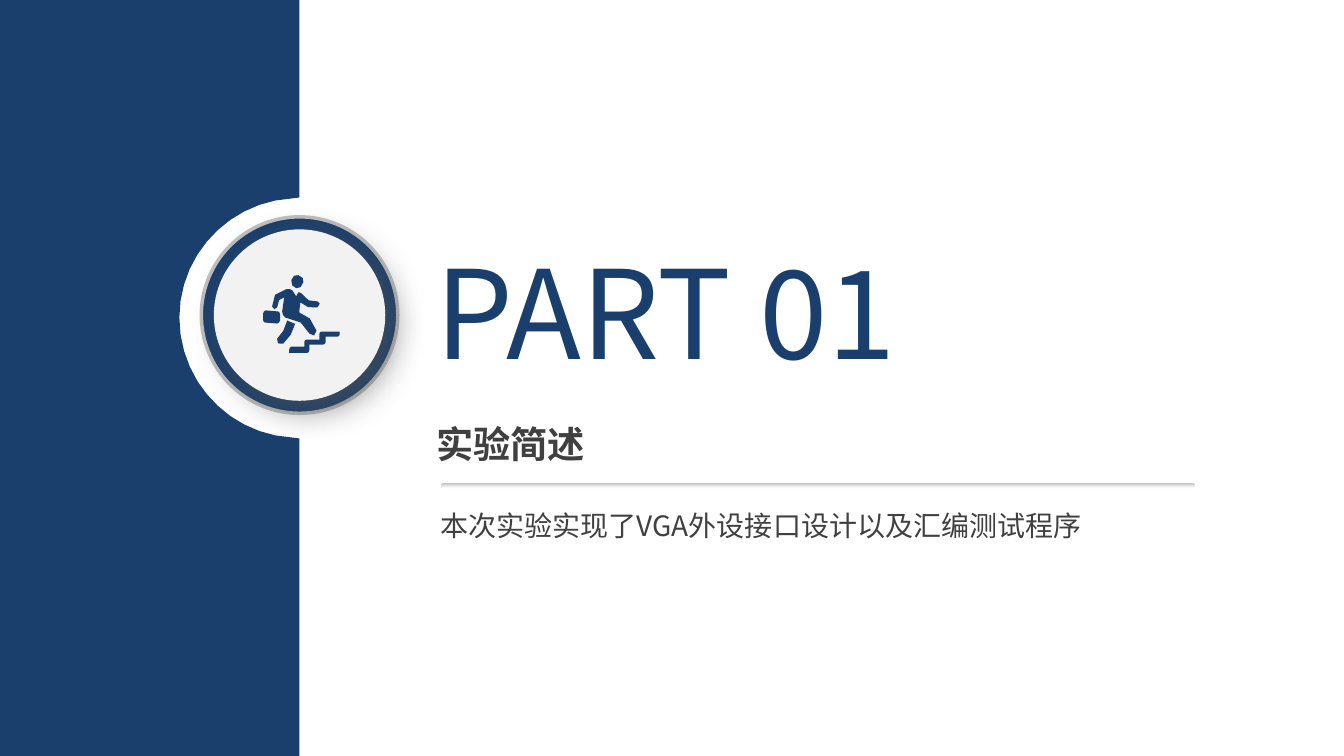
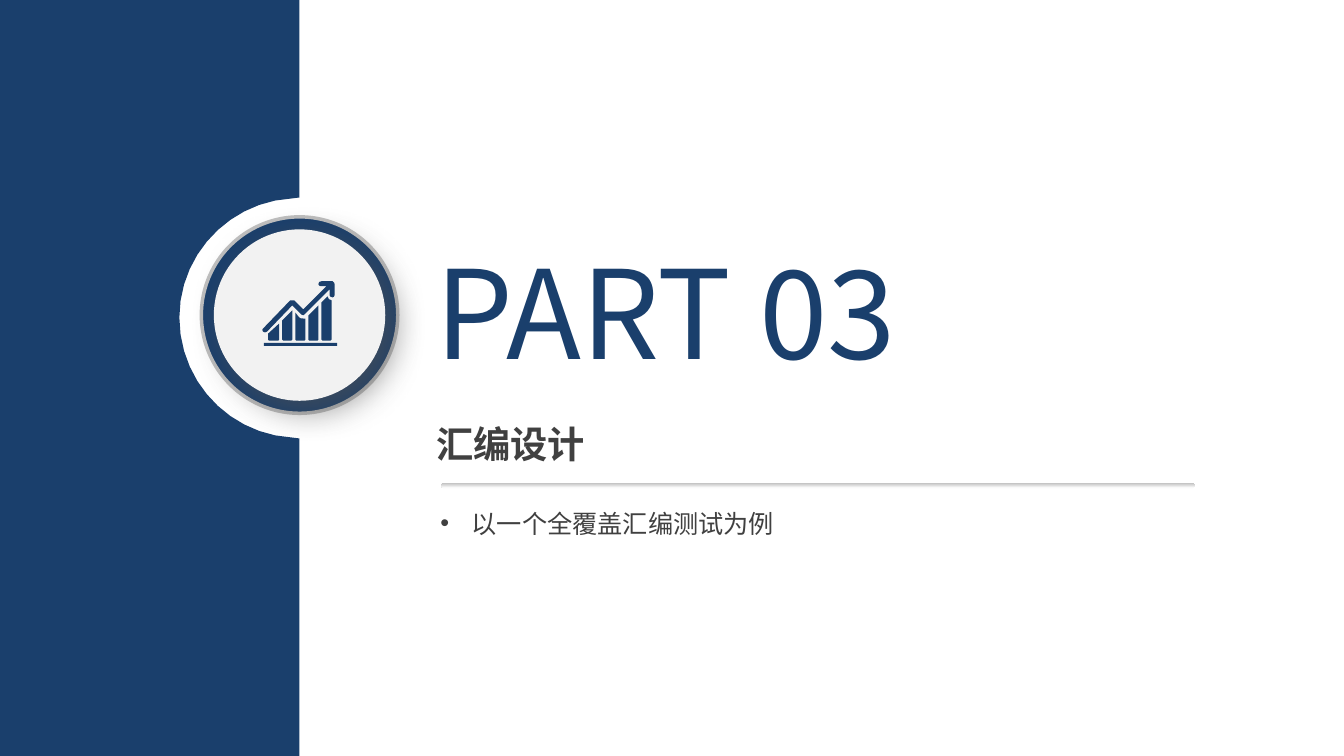
from lxml import etree
from pptx import Presentation
from pptx.dml.color import RGBColor
from pptx.enum.shapes import MSO_SHAPE as Shape
from pptx.enum.text import MSO_ANCHOR, MSO_AUTO_SIZE, PP_ALIGN
from pptx.oxml import parse_xml
from pptx.oxml.ns import nsdecls, qn
from pptx.util import Cm, Pt

NAVY = RGBColor(0x1A, 0x3F, 0x6C)
DARK = RGBColor(0x40, 0x40, 0x40)
SILVER = RGBColor(0xBF, 0xBF, 0xBF)
PALE = RGBColor(0xF2, 0xF2, 0xF2)
WHITE = RGBColor(0xFF, 0xFF, 0xFF)
FONT = "Noto Sans CJK SC"

# Outlines use a grid of 0.0254 cm. A contour starts at its first point;
# pairs are straight segments, sixes are cubic curves.
GRID = 0.0254
BAND_STEPS, ICON_STEPS = 10, 2

BAND = [[
    (0, 0), (297, 0), (297, 196), (273, 199),
    (219, 210, 178, 258, 178, 315), (178, 373, 219, 421, 273, 432),
    (297, 435), (297, 750), (0, 750),
]]

STAIRS = [[
    (289, 344), (302, 344), (302, 339), (302, 338, 303, 337, 304, 337),
    (317, 337), (317, 331), (317, 330, 318, 329, 319, 329), (337, 329),
    (337, 332), (337, 333, 336, 334, 335, 334), (323, 334), (323, 340),
    (323, 341, 321, 342, 320, 342), (307, 342), (307, 347),
    (307, 349, 306, 350, 305, 350), (287, 350), (287, 347),
    (287, 345, 288, 344, 289, 344),
]]
CLIMBER = [
    # Briefcase
    [(263, 320), (275, 321), (276, 321, 277, 320, 278, 318), (278, 312),
     (278, 311, 277, 309, 276, 309), (264, 308),
     (263, 308, 261, 309, 261, 311), (261, 317),
     (261, 319, 262, 320, 263, 320)],
    # Rear leg
    [(275, 336), (281, 329, 282, 328, 285, 318),
     (287, 319, 290, 320, 292, 321), (293, 321),
     (289, 332, 289, 333, 281, 341), (278, 344, 272, 339, 275, 336)],
    # Head
    [(296, 273), (300, 274, 302, 277, 301, 280),
     (300, 284, 297, 287, 294, 286), (290, 286, 289, 281, 289, 278),
     (290, 274, 293, 272, 296, 273)],
    # Body, arms and front leg
    [(296, 290), (296, 290, 298, 290, 299, 291),
     (307, 299, 305, 299, 315, 299), (318, 298, 318, 304, 315, 305),
     (306, 305, 305, 306, 298, 300), (297, 309), (297, 310),
     (307, 315, 309, 315, 314, 328), (315, 333, 309, 335, 307, 331),
     (300, 318, 299, 320, 283, 315), (281, 313, 280, 312, 280, 309),
     (282, 295), (276, 297, 277, 297, 275, 305),
     (275, 308, 269, 307, 270, 304), (271, 292, 272, 291, 284, 287),
     (286, 286, 289, 287, 290, 288), (294, 294)],
]

TREND = [[
    (265, 329), (290, 303), (299, 312), (300, 313, 302, 313, 302, 312),
    (327, 287), (327, 293), (327, 294, 329, 295, 330, 295),
    (331, 295, 332, 294, 332, 293), (332, 282),
    (332, 281, 332, 280, 331, 280), (330, 279), (319, 279),
    (317, 279, 316, 280, 316, 282), (316, 283, 317, 284, 319, 284),
    (324, 284), (301, 307), (292, 298), (291, 298, 289, 298, 288, 298),
    (261, 326), (260, 326, 260, 328, 261, 329),
    (262, 330, 264, 330, 265, 329),
]]
# Axis under the bars, in cm: left, top, width, height
AXIS_BOX = (6.65, 8.64, 1.85, 0.08)

# Upper edge of each bar, from left to right
BAR_TOPS = [
    [(266, 331), (277, 321)],
    [(280, 318), (290, 308)],
    [(293, 310), (297, 315), (298, 316, 299, 316, 301, 316), (303, 316)],
    [(306, 313), (316, 303)],
    [(319, 300), (325, 294), (325, 296, 327, 298, 329, 298)],
]


def bar(top):
    left, right = top[0][0], top[-1][-2]
    return [top + [(right, 337), (right - 1, 338), (left + 1, 338), (left, 337)]]


SECTIONS = [
    {"part": "PART 01", "heading": "实验简述",
     "summary": "本次实验实现了VGA外设接口设计以及汇编测试程序",
     "size": 20, "bullet": False,
     "outlines": [STAIRS, CLIMBER], "axis": None},
    {"part": "PART 03", "heading": "汇编设计",
     "summary": "以一个全覆盖汇编测试为例",
     "size": 18, "bullet": True,
     "outlines": [*map(bar, BAR_TOPS), TREND], "axis": AXIS_BOX},
]

# Boxes in cm: left, top, width, height
TITLE_BOX = (10.72, 5.82, 15.09, 4.01)
HEADING_BOX = (10.74, 10.49, 9.22, 1.4)
SUMMARY_BOX = (10.85, 12.52, 19.28, 1.27)
DIVIDER_BOX = (11.12, 12.17, 19, 0.13)
BADGE_CENTER = (7.55, 7.94)
BULLET_INDENT = 0.79


def flatten(contour, steps):
    """Turn curves into short straight steps, in EMU."""
    points = [contour[0]]
    for segment in contour[1:]:
        if len(segment) == 2:
            points.append(segment)
            continue
        nodes = [points[-1], segment[:2], segment[2:4], segment[4:]]
        for step in range(1, steps + 1):
            t = step / steps
            weights = ((1 - t) ** 3, 3 * t * (1 - t) ** 2, 3 * t * t * (1 - t), t ** 3)
            points.append(tuple(sum(w * node[axis] for w, node in zip(weights, nodes))
                                for axis in (0, 1)))
    return [(Cm(x * GRID), Cm(y * GRID)) for x, y in points]


def paint(shape, color):
    shape.shadow.inherit = False
    shape.fill.solid()
    shape.fill.fore_color.rgb = color
    shape.line.fill.background()
    return shape


def add_outline(shapes, contours, steps):
    first, *others = [flatten(contour, steps) for contour in contours]
    builder = shapes.build_freeform(*first[0], scale=1.0)
    builder.add_line_segments(first[1:], close=True)
    for points in others:
        builder.move_to(*points[0])
        builder.add_line_segments(points[1:], close=True)
    return paint(builder.convert_to_shape(), NAVY)


def add_disc(shapes, diameter, color):
    left, top = (center - diameter / 2 for center in BADGE_CENTER)
    disc = shapes.add_shape(Shape.OVAL, Cm(left), Cm(top), Cm(diameter), Cm(diameter))
    return paint(disc, color)


def add_soft_shadow(shape):
    effects = shape._element.spPr.find(qn("a:effectLst"))
    effects.append(parse_xml(
        f'<a:outerShdw {nsdecls("a")} blurRad="{Pt(24)}" dist="{Pt(9)}" dir="2700000" '
        'algn="tl" rotWithShape="0"><a:srgbClr val="525252">'
        '<a:alpha val="64000"/></a:srgbClr></a:outerShdw>'))


def write(shape, box, text, size, color, bold=False, spacing=1.0):
    shape.left, shape.top, shape.width, shape.height = map(Cm, box)
    frame = shape.text_frame
    frame.word_wrap = True
    frame.auto_size = MSO_AUTO_SIZE.NONE
    frame.vertical_anchor = MSO_ANCHOR.TOP
    paragraph = frame.paragraphs[0]
    paragraph.alignment = PP_ALIGN.LEFT
    paragraph.line_spacing = spacing
    run = paragraph.add_run()
    run.text = text
    run.font.name, run.font.size, run.font.bold = FONT, Pt(size), bold
    run.font.color.rgb = color
    east_asian = etree.SubElement(run._r.get_or_add_rPr(), qn("a:ea"))
    east_asian.set("typeface", FONT)
    return paragraph


def add_bullet(paragraph):
    properties = paragraph._p.get_or_add_pPr()
    properties.set("marL", str(Cm(BULLET_INDENT)))
    properties.set("indent", str(-Cm(BULLET_INDENT)))
    etree.SubElement(properties, qn("a:buFont")).set("typeface", "Arial")
    etree.SubElement(properties, qn("a:buChar")).set("char", "•")


def add_badge(slide):
    badge = slide.shapes.add_group_shape().shapes
    add_disc(badge, 6.63, WHITE)
    ring = add_disc(badge, 4.95, NAVY)
    ring.line.color.rgb = SILVER
    ring.line.width = Pt(2.5)
    add_soft_shadow(add_disc(badge, 4.32, PALE))
    add_outline(slide.shapes, BAND, BAND_STEPS)


def add_icon(slide, outlines, axis):
    icon = slide.shapes.add_group_shape().shapes
    if axis:
        paint(icon.add_shape(Shape.RECTANGLE, *map(Cm, axis)), NAVY)
    for contours in outlines:
        add_outline(icon, contours, ICON_STEPS)


def add_divider(slide):
    divider = slide.shapes.add_shape(Shape.ROUNDED_RECTANGLE, *map(Cm, DIVIDER_BOX))
    paint(divider, SILVER).adjustments[0] = 0.5
    divider.fill.gradient()
    divider.fill.gradient_angle = 270
    for stop, color in zip(divider.fill.gradient_stops, (SILVER, WHITE)):
        stop.color.rgb = color


def add_section(presentation, section):
    slide = presentation.slides.add_slide(presentation.slide_layouts[5])
    add_badge(slide)
    add_divider(slide)
    write(slide.shapes.title, TITLE_BOX, section["part"], 88, NAVY)
    heading = slide.shapes.add_textbox(*map(Cm, HEADING_BOX))
    write(heading, HEADING_BOX, section["heading"], 26.6, DARK, bold=True)
    summary = slide.shapes.add_textbox(*map(Cm, SUMMARY_BOX))
    paragraph = write(summary, SUMMARY_BOX, section["summary"],
                      section["size"], DARK, spacing=1.2)
    if section["bullet"]:
        add_bullet(paragraph)
    add_icon(slide, section["outlines"], section["axis"])


def main():
    presentation = Presentation()
    presentation.slide_width, presentation.slide_height = Cm(33.87), Cm(19.05)
    for section in SECTIONS:
        add_section(presentation, section)
    presentation.save("out.pptx")


if __name__ == "__main__":
    main()
